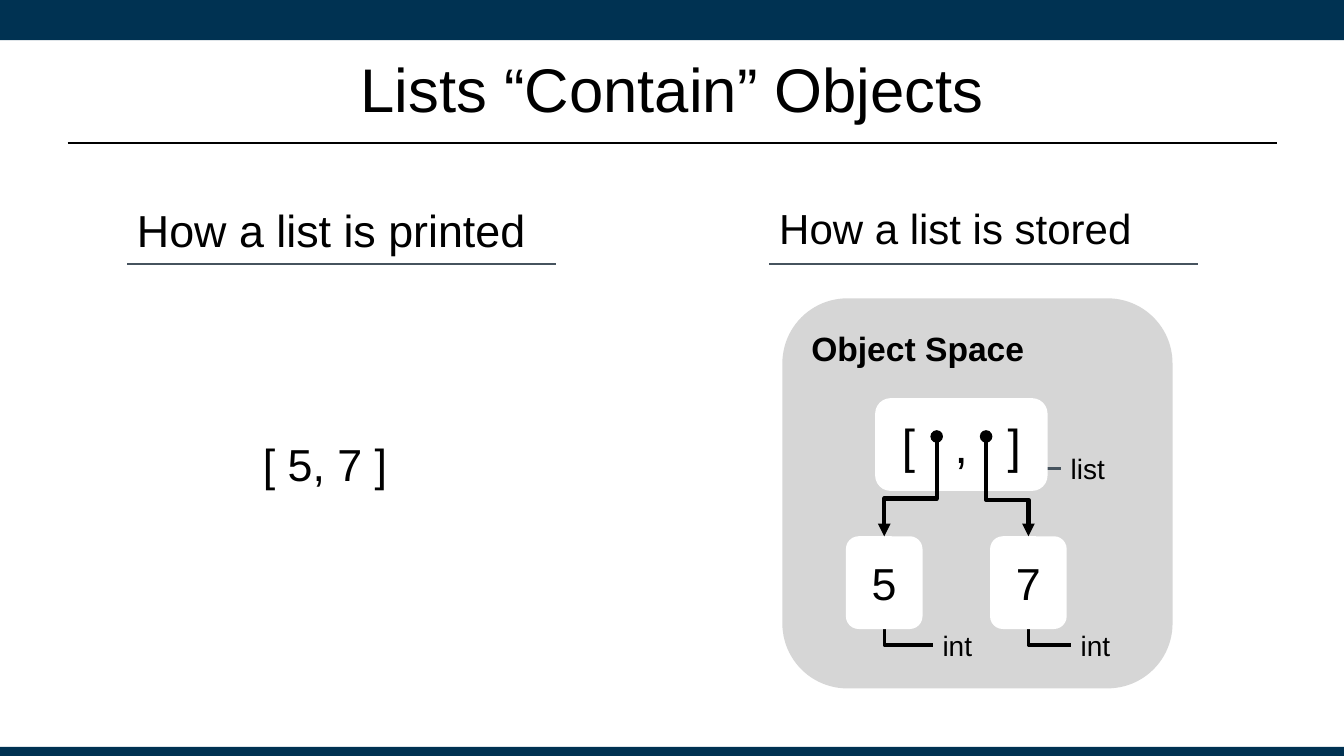
from pptx import Presentation
from pptx.dml.color import RGBColor
from pptx.enum import shapes, text
from pptx.oxml.ns import qn
from pptx.util import Inches, Pt
from lxml import etree

# Content
NAVY, SLATE, GREY, BLACK, WHITE = "003252", "46535E", "D6D6D6", "000000", "FFFFFF"
TITLE = "Lists “Contain” Objects"
PRINTED = "[ 5, 7 ]"
HEADINGS = [  # text, left, size
    ("How a list is printed", 1.26, 32),
    ("How a list is stored", 7.63, 30),
]
ITEMS = [  # value, box left, label left, label width, pointer x, bend
    ("7", 9.82, 10.62, 0.76, 9.78, 0.636),
    ("5", 8.39, 9.25, 0.57, 9.29, 0.623),
]
ITEM_TOP, ITEM_W, BOX_H = 5.32, 0.76, 0.92
POINTER_TOP = 4.33
LIST_BOX = (8.68, 3.95, 1.71, BOX_H)

prs = Presentation()
prs.slide_width, prs.slide_height = Inches(13.33), Inches(7.5)
s = prs.slides.add_slide(prs.slide_layouts[6])


def color(value):
    return RGBColor.from_string(value)


def write(sp, words, size, align="LEFT", anchor="TOP", inset=0.1, bold=False):
    tf = sp.text_frame
    tf.word_wrap = True
    tf.vertical_anchor = getattr(text.MSO_ANCHOR, anchor)
    tf.margin_left = tf.margin_right = Inches(0.1)
    tf.margin_top = tf.margin_bottom = Inches(inset)
    p = tf.paragraphs[0]
    p.text = words
    p.alignment = getattr(text.PP_ALIGN, align)
    for r in p.runs:
        style(r, size, bold)
    return p


def style(r, size, bold=False):
    r.font.name, r.font.size, r.font.bold = "Arial", Pt(size), bold
    r.font.color.rgb = color(BLACK)


def label(box, words, size, **options):
    return write(s.shapes.add_textbox(*map(Inches, box)), words, size, **options)


def block(box, fill, rounded=True):
    kind = shapes.MSO_SHAPE.ROUNDED_RECTANGLE if rounded else shapes.MSO_SHAPE.RECTANGLE
    sp = s.shapes.add_shape(kind, *map(Inches, box))
    sp.shadow.inherit = False
    sp.fill.solid()
    sp.fill.fore_color.rgb = color(fill)
    sp.line.fill.background()
    return sp


def line(start, end, stroke, width, kind="STRAIGHT"):
    c = s.shapes.add_connector(getattr(shapes.MSO_CONNECTOR, kind),
                               *map(Inches, start + end))
    c.line.color.rgb = color(stroke)
    c.line.width = Pt(width)
    etree.SubElement(c._element.spPr, qn("a:effectLst"))
    return c


def pointer(start, end, bend):
    """Elbow arrow that runs down, across and down: a quarter-turned connector."""
    (x1, y1), (x2, y2) = start, end
    w, h = y2 - y1, abs(x2 - x1)
    left, top = (x1 + x2 - w) / 2, (y1 + y2 - h) / 2
    c = line((left, top), (left + w, top + h), BLACK, 3, "ELBOW")
    xfrm = c._element.spPr.find(qn("a:xfrm"))
    if x2 > x1:
        xfrm.set("flipH", "1")
    xfrm.set("rot", str((270 if x2 > x1 else 90) * 60000))
    guides = c._element.spPr.find(qn("a:prstGeom")).get_or_add_avLst()
    etree.SubElement(guides, qn("a:gd"), name="adj1", fmla=f"val {round(bend * 100000)}")
    ln = c.line._get_or_add_ln()
    etree.SubElement(ln, qn("a:headEnd"), type="oval")
    etree.SubElement(ln, qn("a:tailEnd"), type="triangle")


# Bands, title and rule
block((0, 0, 13.33, 0.4), NAVY, rounded=False)
block((0, 7.41, 13.33, 0.1), NAVY, rounded=False)
line((0.67, 1.42), (12.67, 1.42), BLACK, 1.25)
label((0.67, 0.25, 12, 1.25), TITLE, 44, align="CENTER", anchor="MIDDLE", inset=0.05)

# Column headings
for words, left, size in HEADINGS:
    label((left, 1.91, 4.25, 0.71), words, size)
    line((left, 2.62), (left + 4.25, 2.62), SLATE, 1.5)

# Printed form
label((2.31, 4.28, 1.83, 0.64), PRINTED, 32, align="CENTER", inset=0.05)

# Object space with the list box
write(block((7.76, 2.96, 3.87, 3.87), GREY), "Object Space", 24, bold=True)
label((10.52, 4.38, 0.58, 0.54), "list", 20)
line((10.52, 4.65), (9.94, 4.47), SLATE, 2.25, "ELBOW")
p = write(block(LIST_BOX, WHITE), "[ , ", 34, align="CENTER", anchor="MIDDLE")
p.runs[0].font._element.set("spc", "945")  # room for the two pointers
r = p.add_run()
r.text = "]"
style(r, 34)

# Stored items with their type labels
for value, left, label_left, label_w, pointer_x, bend in ITEMS:
    center = left + ITEM_W / 2
    label((label_left, 6.14, label_w, 0.54), "int", 20)
    c = line((label_left, 6.4), (center, ITEM_TOP + BOX_H), BLACK, 2.25, "ELBOW")
    c._element.spPr.find(qn("a:prstGeom")).set("prst", "bentConnector2")
    write(block((left, ITEM_TOP, ITEM_W, BOX_H), WHITE), value, 32,
          align="CENTER", anchor="MIDDLE")
    pointer((pointer_x, POINTER_TOP), (center, ITEM_TOP), bend)

prs.save("out.pptx")
